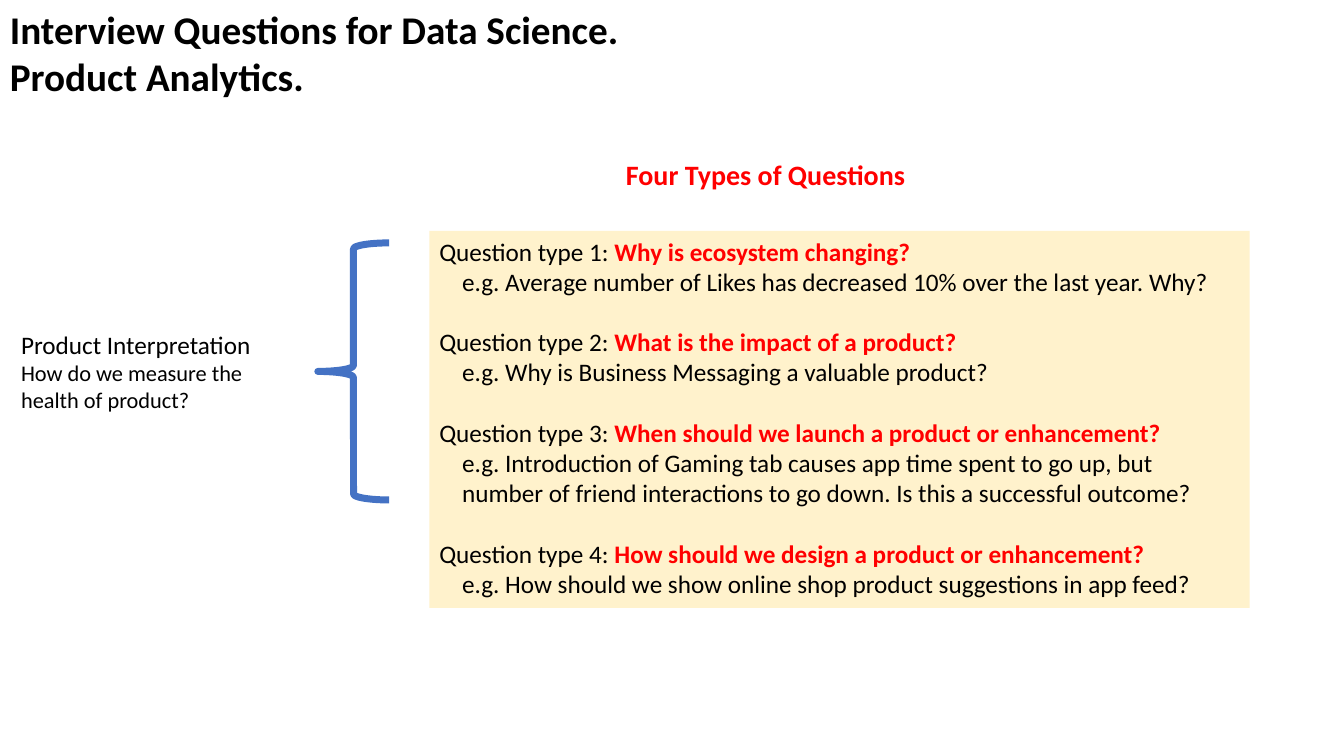
"""Build a slide on the four types of product analytics interview questions."""
from dataclasses import dataclass

import pptx
import pptx.dml.color
import pptx.enum.shapes
import pptx.enum.text
import pptx.util

Pt = pptx.util.Pt
Shapes = pptx.enum.shapes.MSO_SHAPE


@dataclass(frozen=True)
class Theme:
    font: str = "Calibri"
    ink: str = "000000"
    accent: str = "FF0000"
    panel: str = "FFF2CC"
    brace: str = "4472C4"
    title: int = 28
    heading: int = 20
    body: int = 18
    detail: int = 16
    question_gap: float = 21.5
    example_indent: float = 16.3


THEME = Theme()

QUESTIONS = [
    ("Why is ecosystem changing?",
     ["Average number of Likes has decreased 10% over the last year. Why?"]),
    ("What is the impact of a product?",
     ["Why is Business Messaging a valuable product?"]),
    ("When should we launch a product or enhancement?",
     ["Introduction of Gaming tab causes app time spent to go up, but",
      "number of friend interactions to go down. Is this a successful outcome?"]),
    ("How should we design a product or enhancement?",
     ["How should we show online shop product suggestions in app feed?"]),
]


def color(value):
    return pptx.dml.color.RGBColor.from_string(value)


def add_span(para, text, size, ink=THEME.ink, bold=False):
    span = para.add_run()
    span.text = text
    span.font.name = THEME.font
    span.font.size = Pt(size)
    span.font.bold = bold
    span.font.color.rgb = color(ink)


def add_para(frame):
    first = frame.paragraphs[0]
    para = frame.add_paragraph() if first.runs else first
    para.alignment = pptx.enum.text.PP_ALIGN.LEFT
    return para


def add_text(page, left, top, width, height, lines, bold=False, ink=THEME.ink):
    box = page.shapes.add_textbox(Pt(left), Pt(top), Pt(width), Pt(height))
    box.text_frame.word_wrap = True
    for text, size in lines:
        add_span(add_para(box.text_frame), text, size, ink, bold)


def add_shape(page, kind, left, top, width, height):
    shape = page.shapes.add_shape(kind, Pt(left), Pt(top), Pt(width), Pt(height))
    shape.shadow.inherit = False
    return shape


def add_brace(page, left, top, width, height):
    brace = add_shape(page, Shapes.LEFT_BRACE, left, top, width, height)
    brace.fill.background()
    brace.line.color.rgb = color(THEME.brace)
    brace.line.width = Pt(5)


def add_question(frame, number, question, example):
    para = add_para(frame)
    if number > 1:
        para.space_before = Pt(THEME.question_gap)
    add_span(para, f"Question type {number}: ", THEME.body)
    add_span(para, question, THEME.body, THEME.accent, bold=True)
    for index, line in enumerate(example):
        para = add_para(frame)
        para._p.get_or_add_pPr().set("marL", str(Pt(THEME.example_indent)))
        add_span(para, line if index else f"e.g. {line}", THEME.body)


def add_question_panel(page, left, top, width, height):
    panel = add_shape(page, Shapes.RECTANGLE, left, top, width, height)
    panel.fill.solid()
    panel.fill.fore_color.rgb = color(THEME.panel)
    panel.line.fill.background()
    frame = panel.text_frame
    frame.word_wrap = True
    frame.vertical_anchor = pptx.enum.text.MSO_ANCHOR.TOP
    for number, (question, example) in enumerate(QUESTIONS, start=1):
        add_question(frame, number, question, example)


def main():
    deck = pptx.Presentation()
    deck.slide_width, deck.slide_height = Pt(960), Pt(540)
    page = deck.slides.add_slide(deck.slide_layouts[6])
    add_text(page, 440, 108.7, 236, 31.7,
             [("Four Types of Questions", THEME.heading)], True, THEME.accent)
    add_text(page, 0, 0, 528, 75,
             [("Interview Questions for Data Science.", THEME.title),
              ("Product Analytics.", THEME.title)], True)
    add_question_panel(page, 306.7, 165, 586, 269.3)
    add_text(page, 8, 231.5, 211, 67.7,
             [("Product Interpretation", THEME.body),
              ("How do we measure the health of product?", THEME.detail)])
    add_brace(page, 227, 173.5, 51, 183.6)
    deck.save("out.pptx")


if __name__ == "__main__":
    main()
